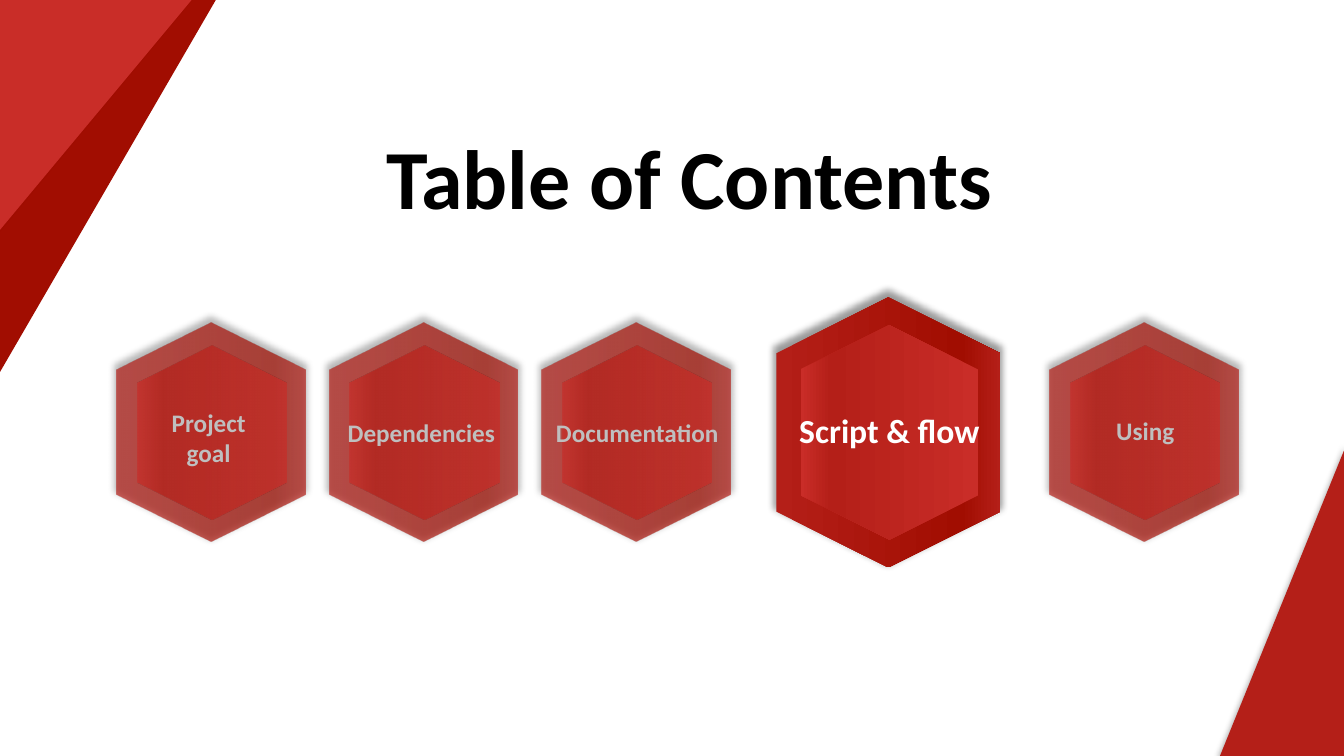
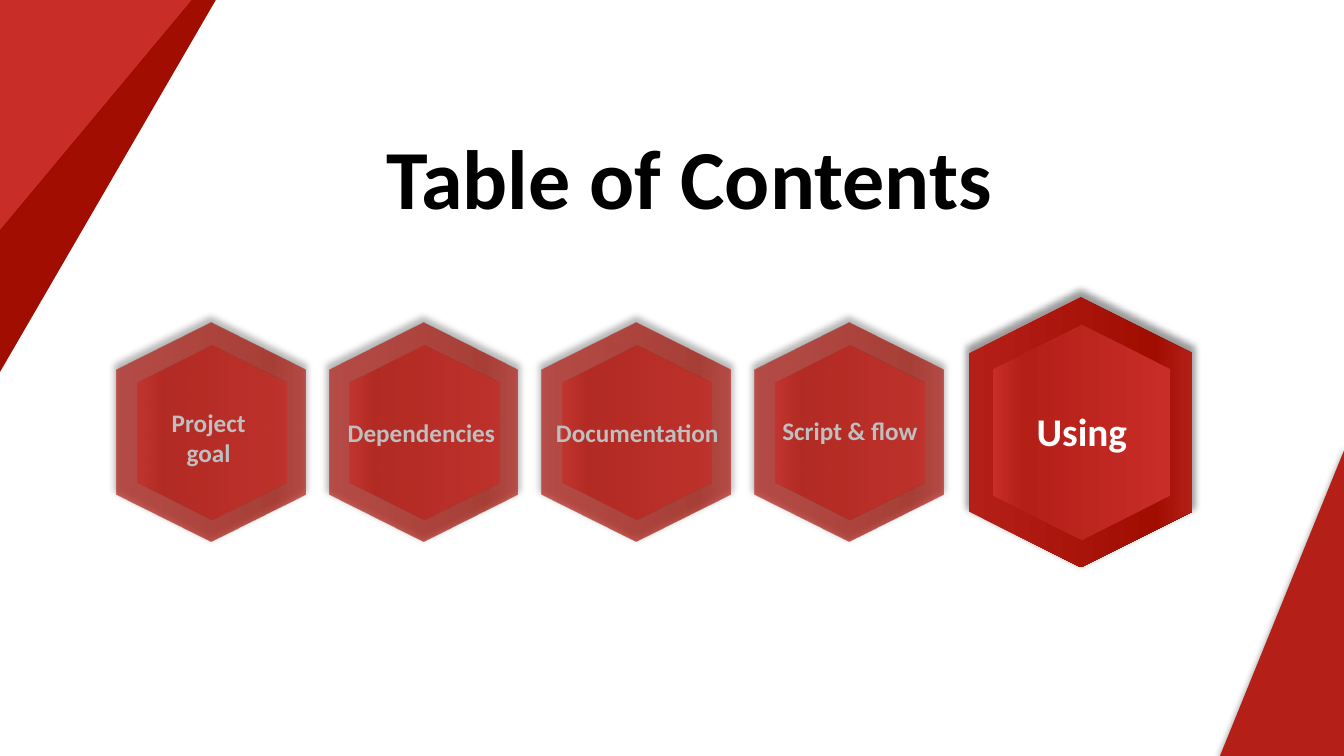
import dataclasses

import lxml.etree
import pptx
import pptx.dml.color
import pptx.enum.shapes
import pptx.enum.text
import pptx.oxml.ns
import pptx.util

Inches = pptx.util.Inches
Shapes = pptx.enum.shapes.MSO_SHAPE
qn = pptx.oxml.ns.qn


@dataclasses.dataclass(frozen=True)
class Theme:
    font: str = "Calibri"
    black: str = "000000"
    white: str = "FFFFFF"
    grey: str = "BFBFBF"
    dark: str = "A10D01"
    red: str = "B41F18"
    light: str = "C92D28"
    title: int = 60
    label: int = 18
    fade: int = 70


@dataclasses.dataclass(frozen=True)
class Size:
    outer: tuple
    inner: tuple


THEME = Theme()
SMALL = Size((2.17, 1.87), (1.72, 1.48))
LARGE = Size((2.68, 2.22), (2.13, 1.76))
TITLE = (3.7, 1.19, 6.27, 1.11)
ROW = (2.09, 4.29)
PITCH = 2.11
ITEMS = [
    ("Project\ngoal", -0.02, 0.05),
    ("Dependencies", -0.02, 0),
    ("Documentation", 0.01, 0),
    ("Script & flow", 0.01, -0.02),
    ("Using", 0.01, -0.02),
]


def rgb(tone):
    return pptx.dml.color.RGBColor.from_string(tone)


def lengths(box):
    return [Inches(side) for side in box]


def centred(x, y, size):
    wide, high = size
    return x - wide / 2, y - high / 2, wide, high


def write(frame, text, size, color, bold=True):
    frame.word_wrap = True
    frame.auto_size = pptx.enum.text.MSO_AUTO_SIZE.NONE
    frame.vertical_anchor = pptx.enum.text.MSO_ANCHOR.MIDDLE
    frame.margin_left = frame.margin_right = 0
    frame.margin_top = frame.margin_bottom = 0
    frame.text = text
    for para in frame.paragraphs:
        para.alignment = pptx.enum.text.PP_ALIGN.CENTER
        for run in para.runs:
            run.font.name = THEME.font
            run.font.size = pptx.util.Pt(size)
            run.font.bold = bold
            run.font.color.rgb = rgb(color)


def node(base, tag, **attrs):
    values = {key: str(value) for key, value in attrs.items()}
    return lxml.etree.SubElement(base, qn(tag), values)


def shade(shape):
    shape.shadow.inherit = False
    effects = shape.element.spPr.find(qn("a:effectLst"))
    cast = node(effects, "a:outerShdw", blurRad=63500, sx=102000, sy=102000,
                algn="ctr", rotWithShape=0)
    tone = node(cast, "a:srgbClr", val=THEME.black)
    node(tone, "a:alpha", val=40000)


def blend(shape, edge, core, alpha):
    shape.fill.gradient()
    shape.fill.gradient_angle = 270
    stops = next(shape.element.spPr.iter(qn("a:gsLst")))
    for stop in list(stops):
        stops.remove(stop)
    for place, tone in ((0, edge), (83, core), (100, edge)):
        stop = node(stops, "a:gs", pos=place * 1000)
        color = node(stop, "a:srgbClr", val=tone)
        if alpha < 100:
            node(color, "a:alpha", val=alpha * 1000)


def hexagon(group, box, turn, edge, core, alpha):
    shape = group.shapes.add_shape(Shapes.HEXAGON, *lengths(box))
    shape.rotation = turn
    blend(shape, edge, core, alpha)
    shape.line.fill.background()
    return shape


def badge(slide, x, y, item, size, alpha, points, color):
    text, right, down = item
    group = slide.shapes.add_group_shape()
    rim = hexagon(group, centred(x, y, size.outer), 270,
                  THEME.red, THEME.dark, alpha)
    shade(rim)
    core = hexagon(group, centred(x + 0.01, y, size.inner), 90,
                   THEME.light, THEME.red, alpha)
    core.shadow.inherit = False
    box = centred(x + right, y + down, (size.outer[1], 0.8))
    label = group.shapes.add_textbox(*lengths(box))
    write(label.text_frame, text, points, color)


def corner(slide, box, color, turn=0):
    shape = slide.shapes.add_shape(Shapes.ISOSCELES_TRIANGLE, *lengths(box))
    shape.adjustments[0] = 1
    shape.rotation = turn
    shape.fill.solid()
    shape.fill.fore_color.rgb = rgb(color)
    shape.line.fill.background()
    shade(shape)


def frame(slide):
    corner(slide, (0, 0, 2.14, 3.69), THEME.dark, 180)
    corner(slide, (0, 0, 1.9, 2.28), THEME.light, 180)
    corner(slide, (12.1, 4.47, 1.23, 3.03), THEME.red)


def contents(deck, active, focus, points, moved):
    slide = deck.slides.add_slide(deck.slide_layouts[5])
    title = slide.shapes.title
    title.left, title.top, title.width, title.height = lengths(TITLE)
    write(title.text_frame, "Table of Contents", THEME.title, THEME.black)
    frame(slide)
    left, mid = ROW
    for index, item in enumerate(ITEMS):
        if index == active:
            badge(slide, focus, mid, item, LARGE, 100, points, THEME.white)
        else:
            x = moved.get(index, left + index * PITCH)
            badge(slide, x, mid, item, SMALL, THEME.fade,
                  THEME.label, THEME.grey)


def main():
    deck = pptx.Presentation()
    deck.slide_width = Inches(13.33)
    deck.slide_height = Inches(7.5)
    contents(deck, active=3, focus=8.81, points=24, moved={4: 11.35})
    contents(deck, active=4, focus=10.72, points=28, moved={})
    deck.save("out.pptx")


if __name__ == "__main__":
    main()
